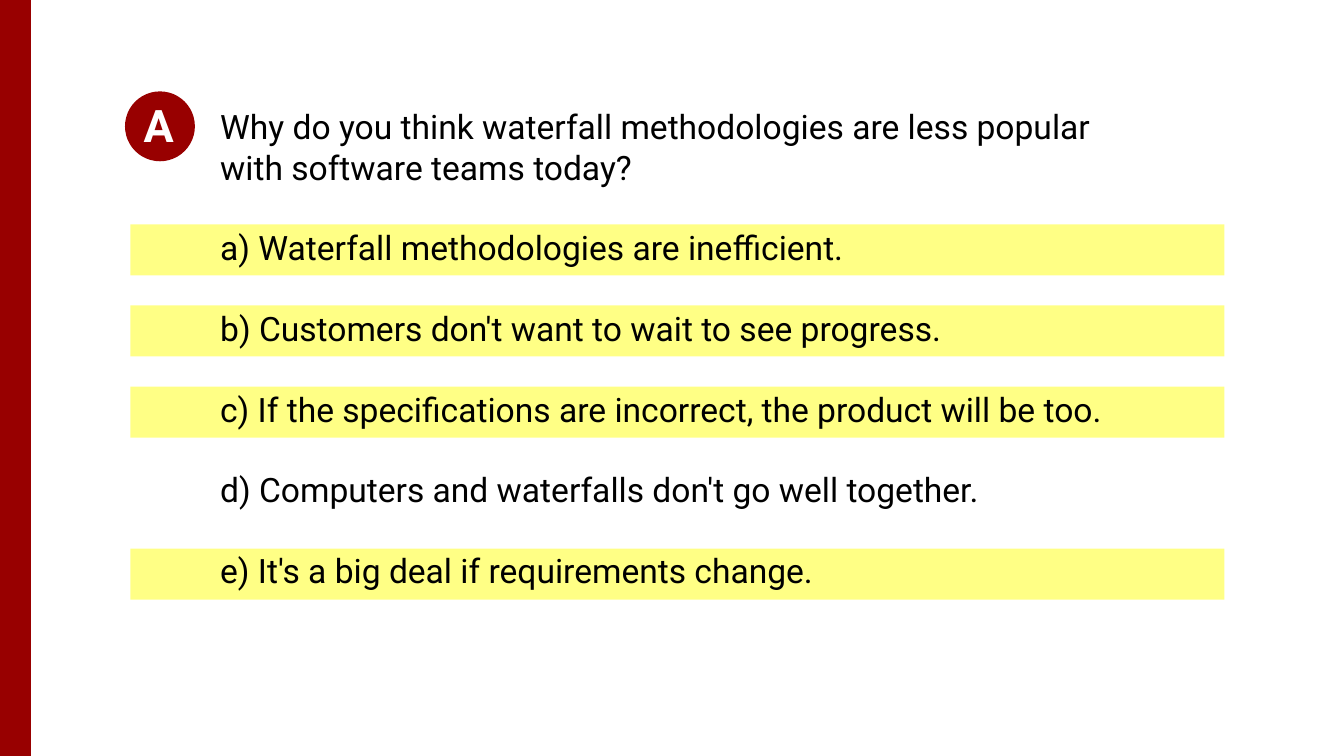
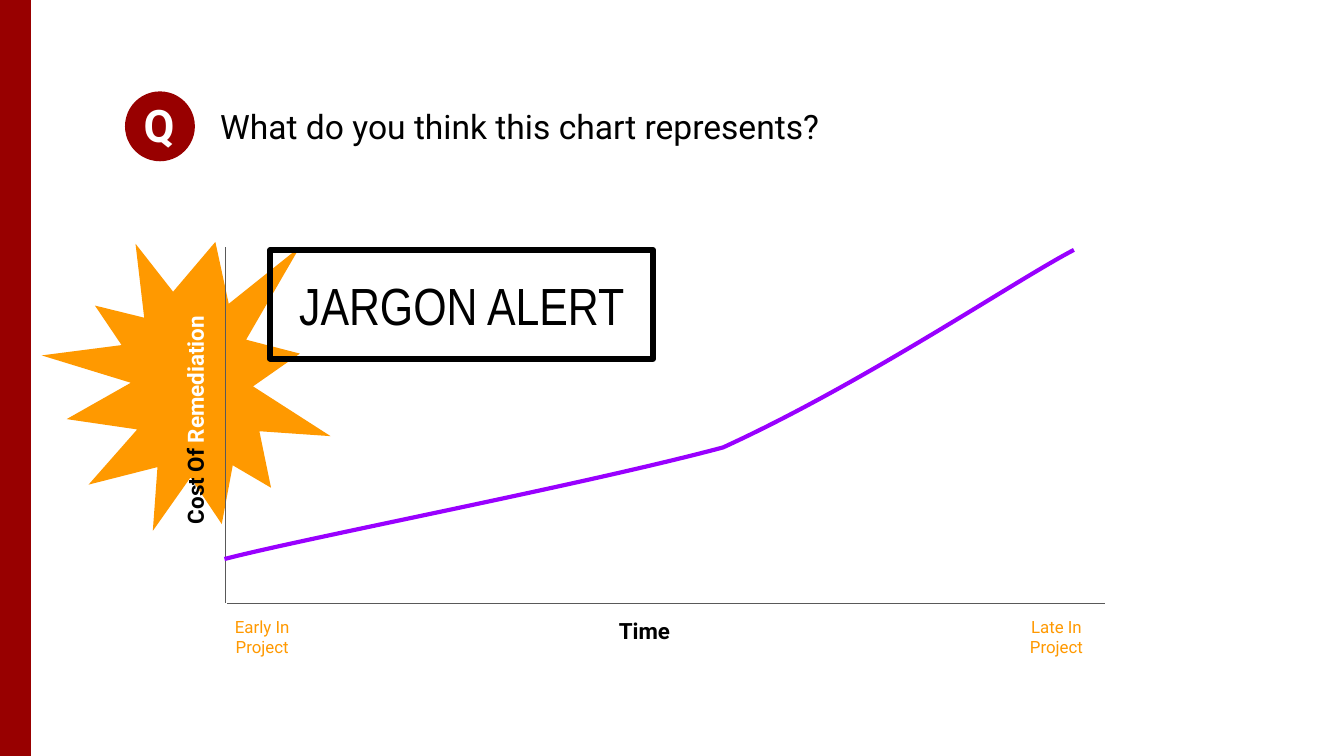
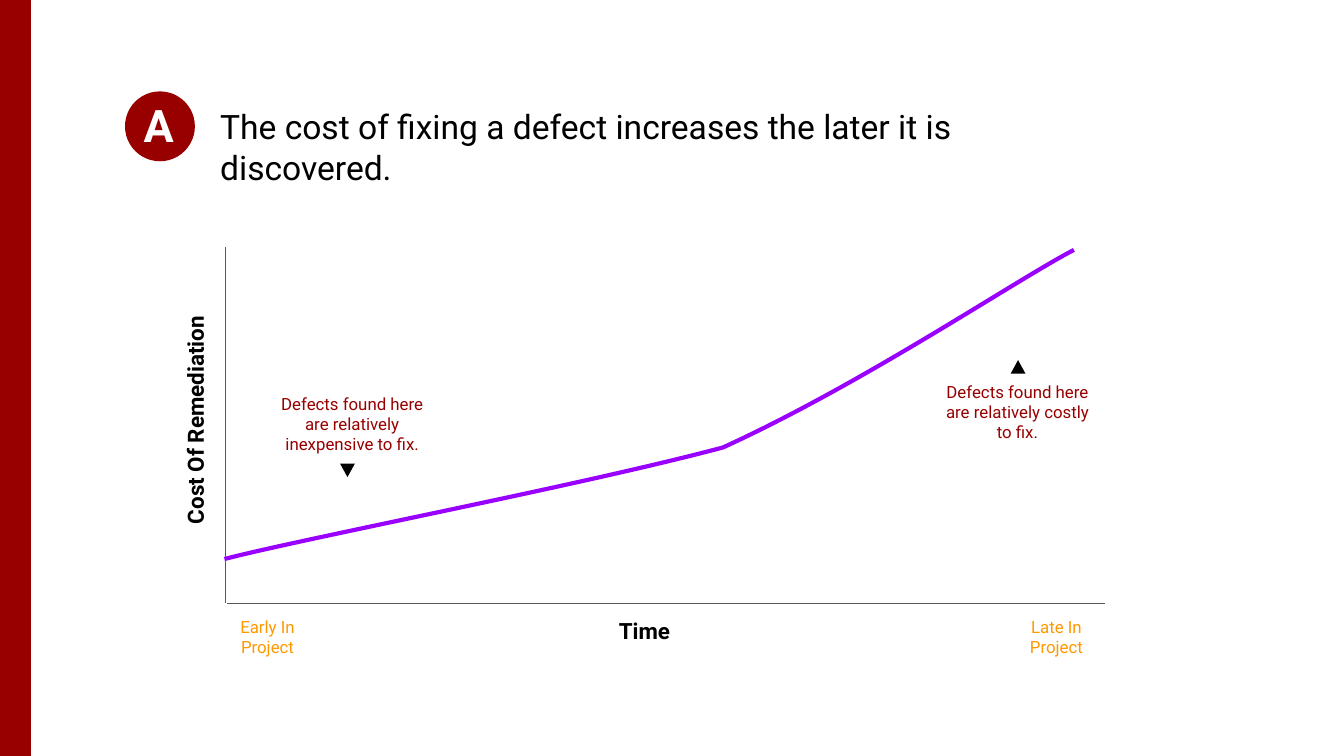
from dataclasses import dataclass

from lxml import etree
from pptx import Presentation
from pptx.dml.color import RGBColor
from pptx.enum.shapes import MSO_CONNECTOR, MSO_SHAPE
from pptx.enum.text import MSO_ANCHOR, PP_ALIGN
from pptx.oxml.ns import qn
from pptx.util import Inches, Pt

RECTANGLE = MSO_SHAPE.RECTANGLE
OVAL = MSO_SHAPE.OVAL
TRIANGLE = MSO_SHAPE.ISOSCELES_TRIANGLE
BURST = MSO_SHAPE.EXPLOSION1
STRAIGHT = MSO_CONNECTOR.STRAIGHT
LEFT, CENTER = PP_ALIGN.LEFT, PP_ALIGN.CENTER
TOP, MIDDLE = MSO_ANCHOR.TOP, MSO_ANCHOR.MIDDLE

BLACK, WHITE, RED, ORANGE = "000000", "FFFFFF", "980000", "FF9900"
YELLOW, PURPLE, GRAY = "FFFF00", "9900FF", "595959"
BODY_FONT, ALERT_FONT = "Roboto", "Arial Narrow"

SLIDE_WIDTH, SLIDE_HEIGHT = Inches(10), Inches(5.625)
COLUMNS, ROWS = 100, 56.25
CELL = SLIDE_WIDTH / COLUMNS
ANSWER_PITCH = 6.03

ANSWERS = [
    ("a) Waterfall methodologies are inefficient.", True),
    ("b) Customers don't want to wait to see progress.", True),
    ("c) If the specifications are incorrect, the product will be too.", True),
    ("d) Computers and waterfalls don't go well together.", False),
    ("e) It's a big deal if requirements change.", True),
]
CURVE = [(-0.1, 23.2), (6.1, 21.6), (26.5, 17.7), (37, 14.9),
         (47.5, 10.1), (58.7, 2.5), (63.1, 0.2)]


@dataclass
class Box:
    """Area of the slide in grid columns and rows."""
    left: float
    top: float
    width: float
    height: float

    def area(self, left, top, width, height):
        """Return an area placed from this box's top left corner."""
        return Box(self.left + left, self.top + top, width, height)

    def point(self, column, row):
        """Return the slide position of a point counted from this box's corner."""
        return round((self.left + column) * CELL), round((self.top + row) * CELL)

    def lengths(self):
        """Return left, top, width and height as slide lengths."""
        return [round(value * CELL) for value in (self.left, self.top, self.width, self.height)]


PAGE = Box(0, 0, COLUMNS, ROWS)
HEADER = Box(9.3, 6.3, 75.8, 5.9)
ANSWER_LIST = Box(9.7, 16.7, 81.4, 28)
PLOT = Box(16.8, 18.4, 65.4, 26.5)


def color(value):
    """Turn a hex string into a colour."""
    return RGBColor.from_string(value)


def add_shape(slide, kind, box, fill=None, opacity=None, line=None, line_width=0, rotation=0):
    """Add a preset shape without a shadow."""
    shape = slide.shapes.add_shape(kind, *box.lengths())
    shape.shadow.inherit = False
    shape.rotation = rotation
    if fill:
        shape.fill.solid()
        shape.fill.fore_color.rgb = color(fill)
    else:
        shape.fill.background()
    if opacity:
        tint = shape._element.spPr.find(qn("a:solidFill")).find(qn("a:srgbClr"))
        etree.SubElement(tint, qn("a:alpha"), val=str(opacity * 1000))
    if line:
        shape.line.color.rgb = color(line)
        shape.line.width = Pt(line_width)
    else:
        shape.line.fill.background()
    return shape


def write(shape, paragraphs, size, font=BODY_FONT, bold=False, align=LEFT, anchor=TOP, gap=0):
    """Write paragraphs, each a list of (text, colour) runs."""
    frame = shape.text_frame
    frame.word_wrap = True
    frame.vertical_anchor = anchor
    frame.margin_left = frame.margin_right = Inches(0.1)
    frame.margin_top = frame.margin_bottom = Inches(0.1)
    for index, runs in enumerate(paragraphs):
        paragraph = frame.add_paragraph() if index else frame.paragraphs[0]
        paragraph.alignment = align
        paragraph.space_before = Pt(gap if index else 0)
        for text, text_color in runs:
            run = paragraph.add_run()
            run.text = text
            run.font.name = font
            run.font.size = Pt(size)
            run.font.bold = bold
            run.font.color.rgb = color(text_color)


def add_text(slide, box, paragraphs, size, rotation=0, **style):
    """Add a text box."""
    shape = slide.shapes.add_textbox(*box.lengths())
    shape.rotation = rotation
    write(shape, paragraphs, size, **style)


def add_label(slide, box, text, text_color):
    """Add a small centred label."""
    add_text(slide, box, [[(text, text_color)]], 9, align=CENTER)


def add_header(slide, box, letter, lines):
    """Add the side band, the lettered badge and the heading text."""
    add_shape(slide, RECTANGLE, PAGE.area(-0.1, 0, 2.4, ROWS), RED)
    add_shape(slide, OVAL, box.area(0, 0.5, 5.2, 5.2), RED)
    add_text(slide, box.area(0.4, 0, 5.2, 5.9), [[(letter, WHITE)]], 24, bold=True)
    add_text(slide, box.area(6.1, 0.6, 69.7, 5.9),
             [[(line, BLACK)] for line in lines], 18, gap=21.6)


def add_highlights(slide, box):
    """Mark the rows of the correct answers."""
    for index, (_, correct) in enumerate(ANSWERS):
        if correct:
            row = box.area(0, index * ANSWER_PITCH, box.width, 3.8)
            add_shape(slide, RECTANGLE, row, YELLOW, opacity=48)


def add_axis(slide, start, end):
    """Add a thin axis line."""
    axis = slide.shapes.add_connector(STRAIGHT, *start, *end)
    axis.line.color.rgb = color(GRAY)
    axis.line.width = Pt(0.75)
    etree.SubElement(axis._element.spPr, qn("a:effectLst"))


def add_curve(slide, box):
    """Draw the cost curve as cubic segments of three points each."""
    start, *points = [box.point(*point) for point in CURVE]
    builder = slide.shapes.build_freeform(*start)
    builder.add_line_segments(points, close=False)
    curve = builder.convert_to_shape()
    curve.shadow.inherit = False
    curve.fill.background()
    curve.line.color.rgb = color(PURPLE)
    curve.line.width = Pt(2.25)
    outline = curve._element.spPr.find(".//" + qn("a:path"))
    steps = outline.findall(qn("a:lnTo"))
    for first in range(0, len(steps), 3):
        segment = etree.SubElement(outline, qn("a:cubicBezTo"))
        for step in steps[first:first + 3]:
            segment.append(step[0])
            outline.remove(step)


def add_cost_plot(slide, box, title_color, early_left):
    """Add the axes, their titles and end labels, and the cost curve."""
    bottom = box.height
    add_axis(slide, box.point(0, 0), box.point(0, bottom))
    add_axis(slide, box.point(box.width, bottom), box.point(0.1, bottom))
    add_text(slide, box.area(28.1, bottom, 6.1, 4.3), [[("Time", BLACK)]], 12,
             bold=True, align=CENTER)
    add_text(slide, box.area(-11.4, 10.7, 18.5, 4.3),
             [[("Cost Of ", BLACK), ("Remediation", title_color)]], 12,
             rotation=270, bold=True, align=CENTER)
    for text, left in (("Early In Project", early_left), ("Late In Project", 58.2)):
        add_label(slide, box.area(left, bottom, 7.2, 7.8), text, ORANGE)
    add_curve(slide, box)


def add_jargon_alert(slide, box):
    """Add the burst behind the axis title and the framed alert."""
    add_shape(slide, BURST, box.area(-13.7, -0.4, 21.5, 21.5), ORANGE, rotation=90)
    alert = add_shape(slide, RECTANGLE, box.area(3.3, 0.2, 28.5, 8.1), line=BLACK, line_width=3)
    write(alert, [[("JARGON ALERT", BLACK)]], 28, font=ALERT_FONT, align=CENTER, anchor=MIDDLE)


def add_defect_notes(slide, box):
    """Add the two notes that point at the curve."""
    add_label(slide, box.area(2.4, 9.9, 14, 7.3),
              "Defects found here are relatively inexpensive to fix.", RED)
    add_label(slide, box.area(52.4, 9, 13, 6.6),
              "Defects found here are relatively costly to fix.", RED)
    add_shape(slide, TRIANGLE, box.area(8.5, 16.1, 1.1, 1), BLACK, rotation=180)
    add_shape(slide, TRIANGLE, box.area(58.4, 8.4, 1.1, 1), BLACK)


def build_answers(slide):
    """Build the slide with the highlighted answers."""
    add_highlights(slide, ANSWER_LIST)
    question = "Why do you think waterfall methodologies are less popular with software teams today?"
    add_header(slide, HEADER, "A", [question] + [text for text, _ in ANSWERS])


def build_chart_question(slide):
    """Build the slide that asks about the chart."""
    add_jargon_alert(slide, PLOT)
    add_header(slide, HEADER, "Q", ["What do you think this chart represents?"])
    add_cost_plot(slide, PLOT, WHITE, -0.9)


def build_chart_answer(slide):
    """Build the slide that explains the chart."""
    add_header(slide, HEADER, "A",
               ["The cost of fixing a defect increases the later it is discovered."])
    add_cost_plot(slide, PLOT, BLACK, -0.5)
    add_defect_notes(slide, PLOT)


def main():
    """Build and save the presentation."""
    presentation = Presentation()
    presentation.slide_width, presentation.slide_height = SLIDE_WIDTH, SLIDE_HEIGHT
    for build in (build_answers, build_chart_question, build_chart_answer):
        build(presentation.slides.add_slide(presentation.slide_layouts[6]))
    presentation.save("out.pptx")


if __name__ == "__main__":
    main()
